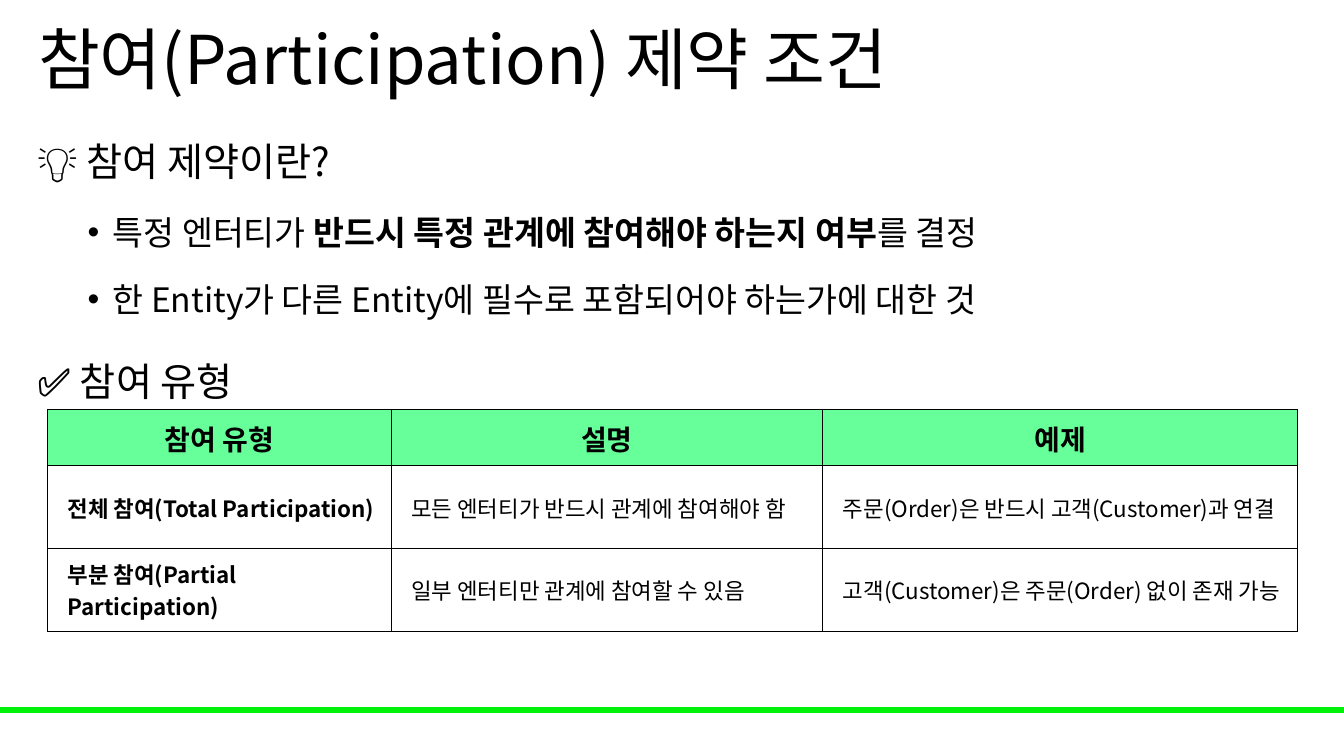
from pptx import Presentation
from pptx.dml.color import RGBColor
from pptx.enum.shapes import MSO_SHAPE
from pptx.enum.text import MSO_ANCHOR, PP_ALIGN
from pptx.oxml.ns import qn
from pptx.util import Inches, Pt
from lxml import etree

RECT = MSO_SHAPE.RECTANGLE
MIDDLE = MSO_ANCHOR.MIDDLE
LEFT, CENTER = PP_ALIGN.LEFT, PP_ALIGN.CENTER

FONT = "Noto Sans CJK KR"
BLACK, GREEN, MINT = "000000", "00F209", "66FF99"

# Each line: bullet or heading, then (text, bold) runs
LINES = [
    (False, [("💡 참여 제약이란?", False)]),
    (True, [("특정 엔터티가 ", False),
            ("반드시 특정 관계에 참여해야 하는지 여부", True),
            ("를 결정", False)]),
    (True, [("한 Entity가 다른 Entity에 필수로 포함되어야 하는가에 대한 것", False)]),
    (False, [("✅ 참여 유형", False)]),
]
ROWS = [
    ("참여 유형", "설명", "예제"),
    ("전체 참여(Total Participation)", "모든 엔터티가 반드시 관계에 참여해야 함",
     "주문(Order)은 반드시 고객(Customer)과 연결"),
    ("부분 참여(Partial Participation)", "일부 엔터티만 관계에 참여할 수 있음",
     "고객(Customer)은 주문(Order) 없이 존재 가능"),
]
COLS = (3.41, 4.28, 4.71)
HEIGHTS = (0.56, 0.82, 0.82)


def color(code):
    return RGBColor.from_string(code)


def set_font(para, size, bold=None):
    font = para.font
    font.name, font.size, font.bold = FONT, Pt(size), bold
    font.color.rgb = color(BLACK)
    # Hangul takes the East Asian typeface
    props = para._p.pPr.find(qn("a:defRPr"))
    etree.SubElement(props, qn("a:ea"), typeface=FONT)


def add_bullet(para):
    props = para._p.get_or_add_pPr()
    props.set("marL", str(Inches(0.75)))
    props.set("indent", str(Inches(-0.25)))
    etree.SubElement(props, qn("a:buFont"), typeface="Arial")
    etree.SubElement(props, qn("a:buChar"), char="•")


def add_box(slide, left, top, width, height):
    box = slide.shapes.add_textbox(
        Inches(left), Inches(top), Inches(width), Inches(height))
    box.text_frame.word_wrap = True
    return box.text_frame


def add_title(slide, text):
    frame = add_box(slide, 0.28, 0, 11.5, 1.25)
    frame.vertical_anchor = MIDDLE
    para = frame.paragraphs[0]
    para.text = text
    para.line_spacing = 0.9
    set_font(para, 48)


def add_body(slide, lines):
    frame = add_box(slide, 0.27, 1.08, 12.8, 2.98)
    for i, (bullet, runs) in enumerate(lines):
        para = frame.add_paragraph() if i else frame.paragraphs[0]
        para.line_spacing = 1.5
        if i:
            para.space_before = Pt(5 if bullet else 10)
        if bullet:
            para.level = 1
            add_bullet(para)
        set_font(para, 24 if bullet else 28)
        for text, bold in runs:
            run = para.add_run()
            run.text = text
            if bold:
                run.font.bold = True


def add_border(cell):
    props = cell._tc.get_or_add_tcPr()
    for side in ("lnL", "lnR", "lnT", "lnB"):
        line = etree.SubElement(props, qn("a:" + side), w=str(Pt(0.5)))
        fill = etree.SubElement(line, qn("a:solidFill"))
        etree.SubElement(fill, qn("a:srgbClr"), val=BLACK)


def fill_cell(cell, text, head, bold):
    cell.vertical_anchor = MIDDLE
    cell.margin_left = Inches(0.01 if head else 0.2)
    cell.margin_right = cell.margin_top = Inches(0.01)
    cell.margin_bottom = 0
    add_border(cell)
    if head:
        cell.fill.solid()
        cell.fill.fore_color.rgb = color(MINT)
    else:
        cell.fill.background()
    para = cell.text_frame.paragraphs[0]
    para.text = text
    para.alignment = CENTER if head else LEFT
    set_font(para, 20 if head else 16, bold)


def add_grid(slide, rows):
    table = slide.shapes.add_table(
        len(rows), len(COLS), Inches(0.47), Inches(4.06),
        Inches(sum(COLS)), Inches(sum(HEIGHTS))).table
    table.horz_banding = False
    for col, width in zip(table.columns, COLS):
        col.width = Inches(width)
    for r, texts in enumerate(rows):
        table.rows[r].height = Inches(HEIGHTS[r])
        for c, text in enumerate(texts):
            fill_cell(table.cell(r, c), text, r == 0, r == 0 or c == 0)


def add_bar(slide):
    bar = slide.shapes.add_shape(
        RECT, 0, Inches(7.02), Inches(13.33), Inches(0.05))
    bar.shadow.inherit = False
    bar.fill.solid()
    bar.fill.fore_color.rgb = color(GREEN)
    bar.line.color.rgb = color(GREEN)
    bar.line.width = Pt(1)


def main():
    deck = Presentation()
    deck.slide_width, deck.slide_height = Inches(13.33), Inches(7.5)
    slide = deck.slides.add_slide(deck.slide_layouts[6])
    add_bar(slide)
    add_title(slide, "참여(Participation) 제약 조건")
    add_body(slide, LINES)
    add_grid(slide, ROWS)
    deck.save("out.pptx")


if __name__ == "__main__":
    main()
